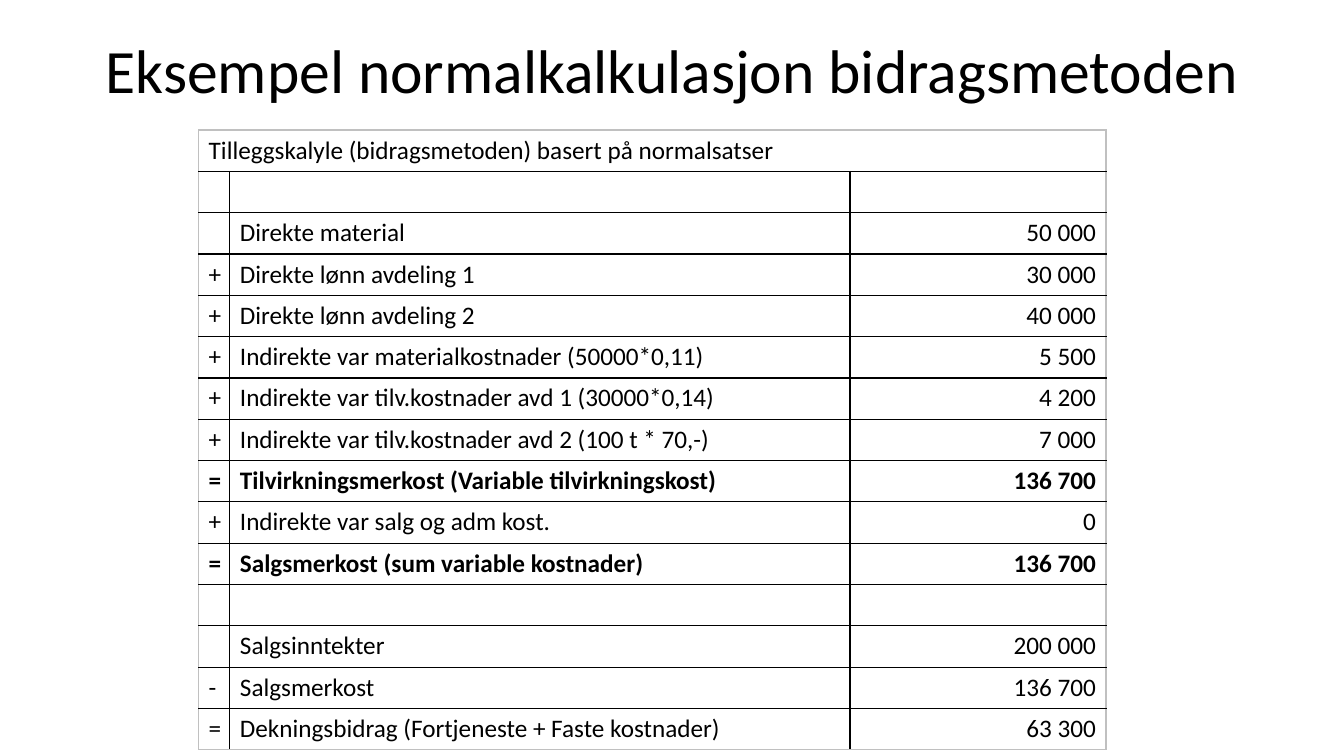
from dataclasses import dataclass

from lxml.etree import SubElement
from pptx import Presentation
from pptx.dml.color import RGBColor
from pptx.enum.text import MSO_ANCHOR as Anchor, MSO_AUTO_SIZE as Fit, PP_ALIGN as Align
from pptx.oxml.ns import qn
from pptx.util import Inches, Pt

COLORS = {"text": "000000", "grid": "000000", "edge": "C0C0C0"}
FONT = "Calibri"
COLS = (0.31, 6.15, 2.54)
STEP = 0.41
HEAD = "Tilleggskalyle (bidragsmetoden) basert på normalsatser"


@dataclass
class Line:
    sign: str = ""
    label: str = ""
    value: str = ""
    bold: bool = False


LINES = [
    Line(HEAD),
    Line(),
    Line("", "Direkte material", "50 000"),
    Line("+", "Direkte lønn avdeling 1", "30 000"),
    Line("+", "Direkte lønn avdeling 2", "40 000"),
    Line("+", "Indirekte var materialkostnader (50000*0,11)", "5 500"),
    Line("+", "Indirekte var tilv.kostnader avd 1 (30000*0,14)", "4 200"),
    Line("+", "Indirekte var tilv.kostnader avd 2 (100 t * 70,-)", "7 000"),
    Line("=", "Tilvirkningsmerkost (Variable tilvirkningskost)", "136 700", True),
    Line("+", "Indirekte var salg og adm kost.", "0"),
    Line("=", "Salgsmerkost (sum variable kostnader)", "136 700", True),
    Line(),
    Line("", "Salgsinntekter", "200 000"),
    Line("-", "Salgsmerkost", "136 700"),
    Line("=", "Dekningsbidrag (Fortjeneste + Faste kostnader)", "63 300"),
]


def style(par, size: int, bold: bool = False) -> None:
    font = par.font
    font.name, font.size, font.bold = FONT, Pt(size), bold
    font.color.rgb = RGBColor.from_string(COLORS["text"])


def border(cell, sides: dict[str, bool]) -> None:
    """Draw each side of a cell; True marks the outer edge of the table."""
    props = cell._tc.get_or_add_tcPr()
    for side, outer in sides.items():
        line = SubElement(props, qn(f"a:ln{side}"), w=str(Pt(1)))
        fill = SubElement(line, qn("a:solidFill"))
        SubElement(fill, qn("a:srgbClr"), val=COLORS["edge" if outer else "grid"])


def add_title(slide, text: str) -> None:
    title = slide.shapes.title
    title.left, title.top = Inches(0.92), Inches(0)
    title.width, title.height = Inches(11.5), Inches(1.45)
    frame = title.text_frame
    frame.text = text
    frame.auto_size, frame.vertical_anchor = Fit.NONE, Anchor.MIDDLE
    par = frame.paragraphs[0]
    par.alignment, par.line_spacing = Align.CENTER, 0.9
    style(par, 44)


def add_costs(slide, lines: list[Line]) -> None:
    rows, cols = len(lines), len(COLS)
    table = slide.shapes.add_table(
        rows, cols, Inches(1.97), Inches(1.29),
        Inches(sum(COLS)), Inches(STEP * rows)).table
    table.first_row = table.horz_banding = False
    for col, width in zip(table.columns, COLS):
        col.width = Inches(width)
    table.cell(0, 0).merge(table.cell(0, cols - 1))
    for r, line in enumerate(lines):
        table.rows[r].height = Inches(STEP)
        for c, text in enumerate((line.sign, line.label, line.value)):
            cell = table.cell(r, c)
            cell.text = text
            par = cell.text_frame.paragraphs[0]
            par.alignment = Align.RIGHT if c == cols - 1 else Align.LEFT
            style(par, 18, line.bold)
            border(cell, {"L": c == 0, "R": c == cols - 1 or r == 0,
                          "T": r == 0, "B": r == rows - 1})
            cell.fill.background()


def main() -> None:
    deck = Presentation()
    deck.slide_width, deck.slide_height = Inches(13.33), Inches(7.5)
    slide = deck.slides.add_slide(deck.slide_layouts[5])
    add_title(slide, "Eksempel normalkalkulasjon bidragsmetoden")
    add_costs(slide, LINES)
    deck.save("out.pptx")


if __name__ == "__main__":
    main()
